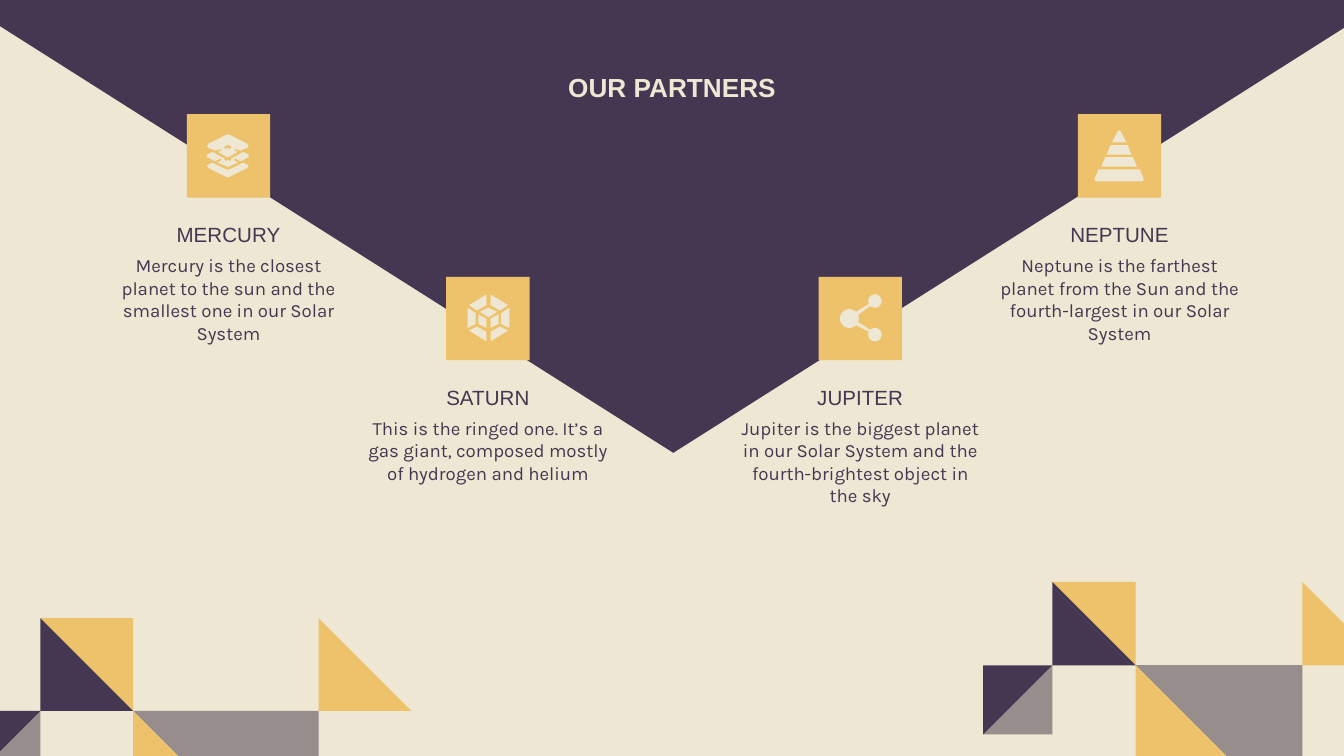
from math import cos, radians, sin

from pptx import Presentation
from pptx.dml.color import RGBColor
from pptx.enum.shapes import MSO_SHAPE as Preset
from pptx.enum.text import MSO_ANCHOR as Anchor, PP_ALIGN as Align
from pptx.util import Inches, Pt

COLORS = {"cream": "EDE7D3", "purple": "453751", "yellow": "EDC26B", "gray": "968D8C"}
TILE = 0.62

# Text styles
TITLE = {"name": "Arial", "size": Pt(14), "bold": True}
HEADING = {"name": "Arial", "size": Pt(11)}
BODY = {"name": "Karla", "size": Pt(10)}

# Name, description, left and top of the icon tile
PLANETS = [
    ("MERCURY", "Mercury is the closest planet to the sun and the smallest one "
     "in our Solar System", 1.39, 0.85),
    ("NEPTUNE", "Neptune is the farthest planet from the Sun and the "
     "fourth-largest in our Solar System", 8.02, 0.85),
    ("JUPITER", "Jupiter is the biggest planet in our Solar System and the "
     "fourth-brightest object in the sky", 6.09, 2.06),
    ("SATURN", "This is the ringed one. It’s a gas giant, composed mostly of "
     "hydrogen and helium", 3.32, 2.06),
]


def color(name):
    return RGBColor.from_string(COLORS[name])


def paint(shape, fill):
    shape.shadow.inherit = False
    shape.fill.solid()
    shape.fill.fore_color.rgb = color(fill)
    shape.line.fill.background()


def add_preset(page, preset, left, top, width, height, fill):
    shape = page.shapes.add_shape(
        preset, Inches(left), Inches(top), Inches(width), Inches(height))
    paint(shape, fill)


def add_outline(shapes, contours, fill):
    """Draw one freeform from closed contours given in inches."""
    scaled = [[(Inches(x), Inches(y)) for x, y in points] for points in contours]
    builder = shapes.build_freeform(*scaled[0][0])
    for index, points in enumerate(scaled):
        if index:
            builder.move_to(*points[0])
        builder.add_line_segments(points[1:], close=True)
    paint(builder.convert_to_shape(), fill)


def add_text(page, text, left, top, width, height, style, ink, anchor):
    box = page.shapes.add_textbox(
        Inches(left), Inches(top), Inches(width), Inches(height))
    frame = box.text_frame
    frame.word_wrap = True
    frame.vertical_anchor = anchor
    for side in ("left", "top", "right", "bottom"):
        setattr(frame, f"margin_{side}", Inches(0.1))
    para = frame.paragraphs[0]
    para.alignment = Align.CENTER
    span = para.add_run()
    span.text = text
    for key, value in style.items():
        setattr(span.font, key, value)
    span.font.color.rgb = color(ink)


def add_planet(page, name, description, left, top):
    center = left + TILE / 2
    add_text(page, description, center - 1, top + 0.94, 2, 0.81,
             BODY, "purple", Anchor.TOP)
    add_text(page, name, center - 0.96, top + 0.61, 1.92, 0.47,
             HEADING, "purple", Anchor.BOTTOM)
    add_preset(page, Preset.RECTANGLE, left, top, TILE, TILE, "yellow")


def add_split_square(page, left, top, size, first, second, rising=False):
    """Split a square along its falling or rising diagonal."""
    right, bottom = left + size, top + size
    if rising:
        ends, corners = [(left, bottom), (right, top)], [(right, bottom), (left, top)]
    else:
        ends, corners = [(left, top), (right, bottom)], [(right, top), (left, bottom)]
    for corner, fill in zip(corners, (first, second)):
        add_outline(page.shapes, [ends + [corner]], fill)


def add_mosaic(page, left, top, unit):
    """Four split squares around the corner of the largest one."""
    small = 0.83 * unit
    add_split_square(page, left, top, 2 * unit, "gray", "yellow")
    add_split_square(page, left + 2 * unit, top - unit, unit, "cream", "yellow")
    add_split_square(page, left - unit - small, top, small, "gray", "purple", True)
    add_split_square(page, left - unit, top - unit, unit, "yellow", "purple")


def mirrored(points, axis):
    return [(2 * axis - x, y) for x, y in points]


def symmetric(half, axis):
    """Complete a contour from its right half, listed top to bottom."""
    return half + mirrored(half[::-1], axis)


def add_icon(page, parts):
    group = page.shapes.add_group_shape()
    for contours in parts:
        add_outline(group.shapes, contours, "cream")


def add_layers_icon(page):
    axis = 1.695
    top = [(1.7, 1), (1.84, 1.07), (1.85, 1.09), (1.84, 1.1), (1.79, 1.12),
           (1.75, 1.11), (1.74, 1.12), (1.77, 1.13), (1.7, 1.17)]
    hole = [(1.7, 1.08), (1.72, 1.09), (1.72, 1.1), (1.71, 1.11), (1.7, 1.1)]
    middle = [(1.7, 1.19), (1.71, 1.2), (1.72, 1.19), (1.72, 1.18), (1.81, 1.13),
              (1.85, 1.15), (1.85, 1.17), (1.79, 1.2), (1.75, 1.18), (1.74, 1.19),
              (1.77, 1.21), (1.7, 1.24)]
    base = [(1.7, 1.26), (1.71, 1.26), (1.81, 1.21), (1.85, 1.23), (1.84, 1.25),
            (1.7, 1.32)]
    halves = [[top, hole], [middle], [base]]
    add_icon(page, [[symmetric(half, axis) for half in part] for part in halves])


def add_crystal_icon(page):
    axis = 3.635
    facets = [
        [(3.71, 2.34), (3.65, 2.37), (3.65, 2.44), (3.71, 2.41)],
        [(3.79, 2.29), (3.73, 2.33), (3.73, 2.41), (3.79, 2.44)],
        [(3.72, 2.43), (3.65, 2.47), (3.65, 2.54), (3.78, 2.46)],
        [(3.65, 2.19), (3.65, 2.27), (3.72, 2.31), (3.78, 2.27)],
    ]
    lid = [(axis, 2.29), (3.7, 2.32), (axis, 2.36), (3.57, 2.32)]
    both = facets + [mirrored(facet, axis) for facet in facets]
    add_icon(page, [[points] for points in [lid] + both])


def arc(x, y, radius, start, end):
    steps = 24
    angles = [radians(start + (end - start) * i / steps) for i in range(steps + 1)]
    return [(x + radius * cos(a), y + radius * sin(a)) for a in angles]


def add_share_icon(page):
    hub, dot = (6.32, 2.37, 0.07), 0.05
    outline = (arc(6.51, 2.24, dot, 155, 495) + arc(*hub, -22, 22)
               + arc(6.51, 2.49, dot, 225, 565) + arc(*hub, 45, 315))
    add_outline(page.shapes, [outline], "cream")


def add_pyramid_icon(page):
    axis = 8.327
    bands = [
        [(8.33, 0.97), (8.34, 0.98), (8.38, 1.06)],
        [(8.39, 1.08), (8.42, 1.15)],
        [(8.43, 1.17), (8.46, 1.24)],
        [(8.48, 1.26), (8.51, 1.33), (8.51, 1.34), (8.5, 1.35)],
    ]
    add_icon(page, [[symmetric(band, axis)] for band in bands])


def main():
    # Widescreen page, 16:9
    deck = Presentation()
    deck.slide_width = Inches(10)
    deck.slide_height = deck.slide_width * 9 // 16
    page = deck.slides.add_slide(deck.slide_layouts[6])
    page.background.fill.solid()
    page.background.fill.fore_color.rgb = color("cream")

    # Large triangle and title
    add_preset(page, Preset.FLOWCHART_MERGE, -0.45, -0.09, 10.92, 3.46, "purple")
    add_text(page, "OUR PARTNERS", 3.14, 0.13, 3.72, 1.03, TITLE, "cream",
             Anchor.MIDDLE)

    # Corner mosaics
    add_mosaic(page, 0.99, 5.29, 0.69)
    add_mosaic(page, 8.45, 4.95, 0.62)

    # Planets and their icons
    for planet in PLANETS:
        add_planet(page, *planet)
    add_layers_icon(page)
    add_crystal_icon(page)
    add_share_icon(page)
    add_pyramid_icon(page)

    deck.save("out.pptx")


if __name__ == "__main__":
    main()
